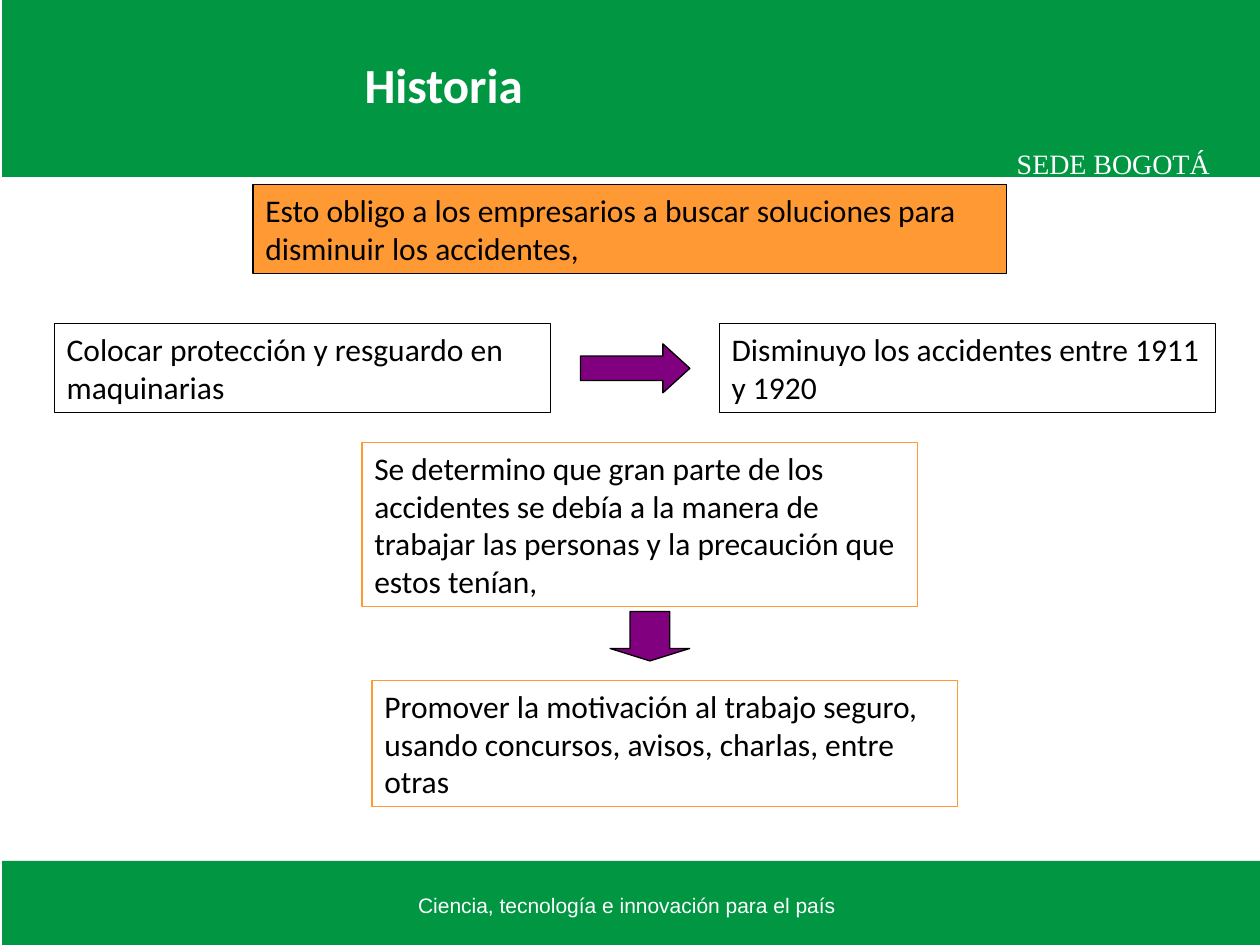
from pptx import Presentation
from pptx.dml.color import RGBColor
from pptx.enum.shapes import MSO_SHAPE as Shape
from pptx.enum.text import MSO_ANCHOR as Anchor, PP_ALIGN as Align
from pptx.util import Pt

COLORS = {
    "green": "009642",
    "orange": "FF9933",
    "purple": "800080",
    "black": "000000",
    "white": "FFFFFF",
}


def rgb(name):
    return RGBColor.from_string(COLORS[name])


class HistorySlide:
    """Holds the style and the current slide; boxes are (left, top, width, height) in points."""

    body_font = "Calibri"
    body_size = 18
    line_width = 0.75

    def __init__(self, slide):
        self.slide = slide

    def set_text(self, frame, text, font, size, color, align=Align.LEFT, anchor=Anchor.TOP, bold=False):
        frame.word_wrap = True
        frame.vertical_anchor = anchor
        paragraph = frame.paragraphs[0]
        paragraph.alignment = align
        run = paragraph.add_run()
        run.text = text
        run.font.name = font
        run.font.size = Pt(size)
        run.font.bold = bold
        run.font.color.rgb = rgb(color)

    def shape(self, kind, box, fill=None, line=None):
        shape = self.slide.shapes.add_shape(kind, *map(Pt, box))
        shape.shadow.inherit = False
        if fill:
            shape.fill.solid()
            shape.fill.fore_color.rgb = rgb(fill)
        else:
            shape.fill.background()
        if line:
            shape.line.color.rgb = rgb(line)
            shape.line.width = Pt(self.line_width)
        else:
            shape.line.fill.background()
        return shape

    def band(self, box):
        self.shape(Shape.RECTANGLE, box, fill="green")

    def statement(self, box, text, line, fill=None):
        rectangle = self.shape(Shape.RECTANGLE, box, fill, line)
        self.set_text(rectangle.text_frame, text, self.body_font, self.body_size, "black")

    def arrow(self, kind, box, head):
        arrow = self.shape(kind, box, "purple", "black")
        arrow.adjustments[0] = 0.5
        arrow.adjustments[1] = head

    def label(self, box, text, font, size):
        textbox = self.slide.shapes.add_textbox(*map(Pt, box))
        self.set_text(textbox.text_frame, text, font, size, "white", Align.CENTER)

    def title(self, box, text):
        title = self.slide.shapes.title
        title.left, title.top, title.width, title.height = map(Pt, box)
        self.set_text(title.text_frame, text, self.body_font, 28, "white",
                      Align.CENTER, Anchor.MIDDLE, bold=True)
        # Bring the title in front of the green band
        self.slide.shapes.element.append(title.element)


def main():
    presentation = Presentation()
    presentation.slide_width, presentation.slide_height = Pt(720), Pt(540)
    title_only = presentation.slide_layouts[5]
    history = HistorySlide(presentation.slides.add_slide(title_only))

    # Header and footer
    history.band((1.2, 0, 720, 101.2))
    history.band((1.2, 492, 720, 50))
    history.label((0, 506.2, 720, 21.6), "Ciencia, tecnología e innovación para el país ", "Arial", 12)
    history.label((523.5, 80, 225.4, 26.6), "SEDE BOGOTÁ", "Times New Roman", 16)
    history.title((11.5, 0, 484, 96), "Historia")

    # Need for solutions
    history.statement((144.5, 105.6, 430.5, 50.6),
                      "Esto obligo a los empresarios a buscar soluciones para disminuir los accidentes,",
                      "black", "orange")

    # Machine protection and its effect
    effect_top, effect_width, effect_height = 185, 283.5, 50.6
    history.statement((31, effect_top, effect_width, effect_height),
                      "Colocar protección y resguardo en maquinarias", "black")
    history.arrow(Shape.RIGHT_ARROW, (331.7, 196.5, 62.5, 28), 0.55)
    history.statement((411, effect_top, effect_width, effect_height),
                      "Disminuyo los accidentes entre 1911 y 1920", "black")

    # Human cause and the resulting motivation
    history.statement((206.8, 253, 317.5, 93.6),
                      "Se determino que gran parte de los accidentes se debía a la manera de "
                      "trabajar las personas y la precaución que estos tenían,", "orange")
    history.arrow(Shape.DOWN_ARROW, (348.7, 349.4, 45.4, 28.3), 0.25)
    history.statement((212.5, 389, 334.7, 72),
                      "Promover la motivación al trabajo seguro, usando concursos, avisos, "
                      "charlas, entre otras", "orange")

    presentation.save("out.pptx")


if __name__ == "__main__":
    main()
